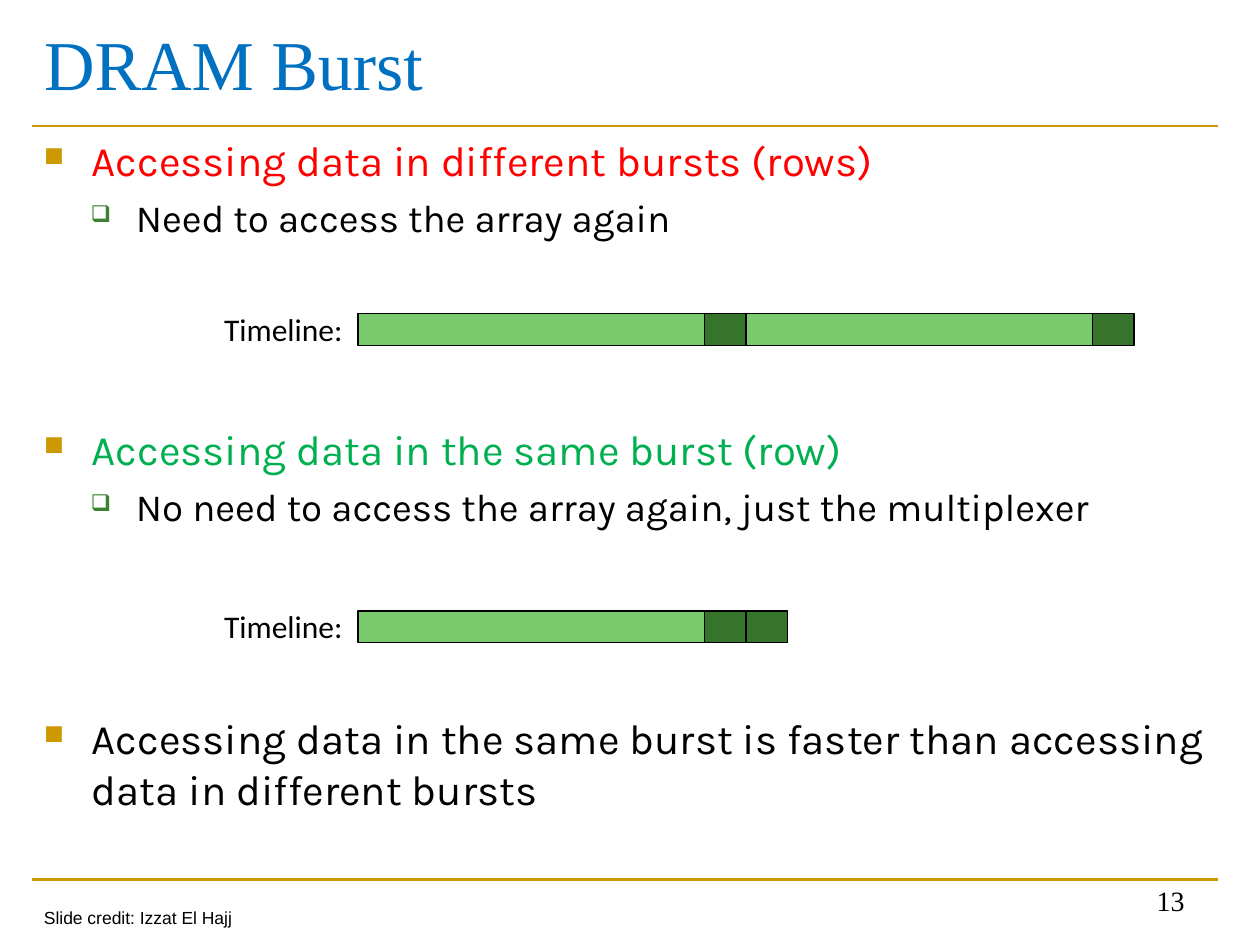
import pptx
import pptx.util
import pptx.dml.color
import pptx.enum.shapes
import pptx.enum.text
import pptx.oxml.ns
from lxml import etree

Inches, Pt = pptx.util.Inches, pptx.util.Pt
ANCHOR = pptx.enum.text.MSO_ANCHOR
ALIGN = pptx.enum.text.PP_ALIGN
qn = pptx.oxml.ns.qn

COLORS = {
    "gold": "CC9900", "title": "0070C0", "red": "FF0000", "green": "00B050",
    "black": "000000", "marker": "3B812F", "array": "7AC96C", "mux": "35742A",
}
MARGIN, CONTENT_WIDTH = 0.25, 9.42
BAR_LEFT, BAR_HEIGHT = 2.84, 0.25
STEP_WIDTHS = {"array": 2.75, "mux": 0.33}
TIMELINES = [
    (2.49, ["array", "mux", "array", "mux"]),
    (4.85, ["array", "mux", "mux"]),
]
LEVELS = [
    {"size": 24, "left": 0.38, "hang": 0.38, "bullet": "■", "color": "gold", "percent": 65},
    {"size": 22, "left": 0.73, "hang": 0.36, "bullet": "❑", "color": "marker", "percent": 60},
]
# Level, colour, space before in points (the large gaps hold the timelines), text
POINTS = [
    (0, "red", 0, "Accessing data in different bursts (rows)"),
    (1, "black", 5, "Need to access the array again"),
    (0, "green", 105, "Accessing data in the same burst (row)"),
    (1, "black", 5, "No need to access the array again, just the multiplexer"),
    (0, "black", 105, "Accessing data in the same burst is faster than "
                      "accessing data in different bursts"),
]


def rgb(name):
    return pptx.dml.color.RGBColor.from_string(COLORS[name])


def format_font(font, color, **values):
    for key, value in values.items():
        setattr(font, key, value)
    font.color.rgb = rgb(color)


def add_rule(page, top):
    rule = page.shapes.add_connector(
        pptx.enum.shapes.MSO_CONNECTOR.STRAIGHT, Inches(MARGIN), Inches(top),
        Inches(MARGIN + CONTENT_WIDTH), Inches(top))
    rule.line.color.rgb = rgb("gold")
    rule.line.width = Pt(1.5)
    etree.SubElement(rule._element.spPr, qn("a:effectLst"))


def set_title(page, text):
    title = page.shapes.title
    place = {"left": MARGIN, "top": 0, "width": CONTENT_WIDTH, "height": 0.99}
    for key, value in place.items():
        setattr(title, key, Inches(value))
    title.text_frame.vertical_anchor = ANCHOR.MIDDLE
    para = title.text_frame.paragraphs[0]
    para.alignment = ALIGN.LEFT
    span = para.add_run()
    span.text = text
    format_font(span.font, "title", name="Times New Roman", size=Pt(40))


def add_label(page, place, text, font, size, wrap=False, anchor=ANCHOR.TOP, align=ALIGN.LEFT):
    box = page.shapes.add_textbox(*map(Inches, place))
    box.text_frame.word_wrap = wrap
    box.text_frame.vertical_anchor = anchor
    para = box.text_frame.paragraphs[0]
    para.alignment = align
    span = para.add_run()
    span.text = text
    format_font(span.font, "black", name=font, size=Pt(size))


def set_bullet(para, level):
    props = para._p.get_or_add_pPr()
    props.set("marL", str(Inches(level["left"])))
    props.set("indent", str(-Inches(level["hang"])))
    color = etree.SubElement(props, qn("a:buClr"))
    etree.SubElement(color, qn("a:srgbClr"), val=COLORS[level["color"]])
    etree.SubElement(props, qn("a:buSzPct"), val=str(level["percent"] * 1000))
    etree.SubElement(props, qn("a:buChar"), char=level["bullet"])


def add_points(page):
    box = page.shapes.add_textbox(
        Inches(MARGIN), Inches(1.02), Inches(CONTENT_WIDTH), Inches(5.95))
    frame = box.text_frame
    frame.word_wrap = True
    for index, (depth, color, gap, text) in enumerate(POINTS):
        para = frame.add_paragraph() if index else frame.paragraphs[0]
        level = LEVELS[depth]
        para.level = depth
        set_bullet(para, level)
        para.space_before = Pt(gap)
        span = para.add_run()
        span.text = text
        format_font(span.font, color, name="Karla", size=Pt(level["size"]))


def add_timeline(page, top, steps):
    """Add a label and a grouped bar of adjoining steps."""
    group = page.shapes.add_group_shape()
    left = BAR_LEFT
    for step in steps:
        width = STEP_WIDTHS[step]
        bar = group.shapes.add_shape(
            pptx.enum.shapes.MSO_SHAPE.RECTANGLE, Inches(left), Inches(top),
            Inches(width), Inches(BAR_HEIGHT))
        bar.shadow.inherit = False
        bar.fill.solid()
        bar.fill.fore_color.rgb = rgb(step)
        bar.line.color.rgb = rgb("black")
        bar.line.width = Pt(0.75)
        left += width
    add_label(page, (1.68, top - 0.08, 1.15, 0.4), "Timeline:", "Calibri", 18)


def main():
    deck = pptx.Presentation()
    deck.slide_width, deck.slide_height = Inches(10), Inches(7.5)
    page = deck.slides.add_slide(deck.slide_layouts.get_by_name("Title Only"))
    for top in (6.98, 1):
        add_rule(page, top)
    set_title(page, "DRAM Burst")
    add_points(page)
    for top, steps in TIMELINES:
        add_timeline(page, top, steps)
    add_label(page, (MARGIN, 7.15, 1.71, 0.27), "Slide credit: Izzat El Hajj", "Arial", 10)
    add_label(page, (7.17, 6.83, 2.33, 0.5), "13", "Times New Roman", 16,
              wrap=True, anchor=ANCHOR.BOTTOM, align=ALIGN.RIGHT)
    deck.save("out.pptx")


if __name__ == "__main__":
    main()
